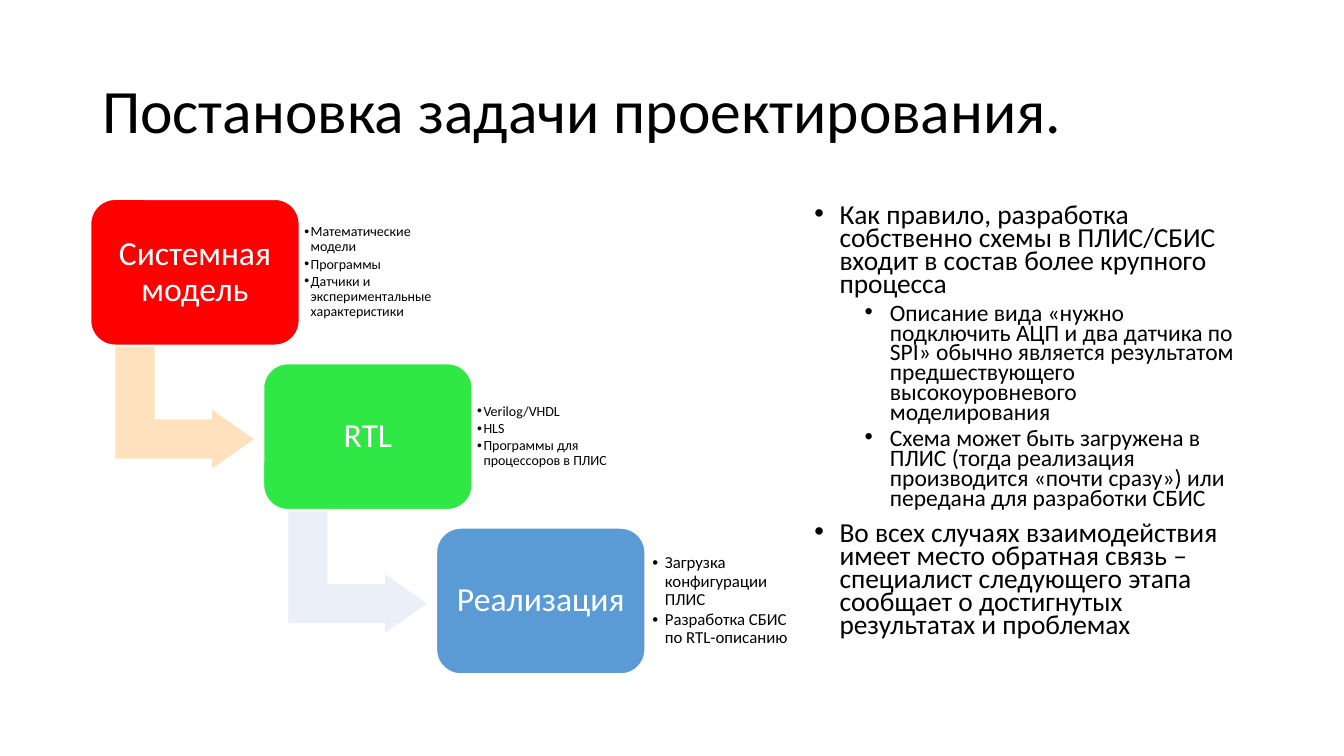
from dataclasses import dataclass

from lxml.etree import SubElement
from pptx import Presentation
from pptx.dml.color import RGBColor
from pptx.enum.shapes import MSO_SHAPE as Shape
from pptx.enum.text import MSO_ANCHOR as Anchor, PP_ALIGN as Align
from pptx.oxml.ns import qn
from pptx.util import Pt


@dataclass(frozen=True)
class Theme:
    font: str = "Calibri"
    black: str = "000000"
    white: str = "FFFFFF"
    red: str = "FF0000"
    green: str = "30E845"
    blue: str = "5B9BD5"
    peach: str = "FFE2BD"
    pale_blue: str = "EBF0F8"
    title_size: float = 44
    stage_size: float = 24
    point_size: float = 19.6
    subpoint_size: float = 16.8
    note_size: float = 10
    large_note_size: float = 12


THEME = Theme()

# Staircase geometry, in points
STAGE_LEFT, STAGE_TOP = 64.8, 142.4
STAGE_WIDTH, STAGE_HEIGHT = 149, 104.2
STEP_X, STEP_Y = 123.5, 117.4
ARROW_WIDTH, ARROW_HEIGHT = 88.4, 100.7
ARROW_DX, ARROW_DY = 23.2, 98.8
NOTE_WIDTH, NOTE_HEIGHT, NOTE_DY = 108.6, 84.2, 10

# Stage name, fill, following arrow's fill, note size, note indent, note inset, notes
STAGES = [
    ("Системная модель", THEME.red, THEME.peach, THEME.note_size, 4.5, 3.6,
     ["Математические модели", "Программы",
      "Датчики и экспериментальные характеристики"]),
    ("RTL", THEME.green, THEME.pale_blue, THEME.note_size, 4.5, 3.6,
     ["Verilog/VHDL", "HLS", "Программы для процессоров в ПЛИС"]),
    ("Реализация", THEME.blue, None, THEME.large_note_size, 9, 5.1,
     ["Загрузка конфигурации ПЛИС", "Разработка СБИС по RTL-описанию"]),
]

# Level and wording of each discussion point
POINTS = [
    (0, "Как правило, разработка собственно схемы в ПЛИС/СБИС входит в состав "
        "более крупного процесса"),
    (1, "Описание вида «нужно подключить АЦП и два датчика по SPI» обычно является "
        "результатом предшествующего высокоуровневого моделирования"),
    (1, "Схема может быть загружена в ПЛИС (тогда реализация производится "
        "«почти сразу») или передана для разработки СБИС"),
    (0, "Во всех случаях взаимодействия имеет место обратная связь – специалист "
        "следующего этапа сообщает о достигнутых результатах и проблемах"),
]


def set_bullet(paragraph, margin, hanging):
    properties = paragraph._p.get_or_add_pPr()
    properties.set("marL", str(Pt(margin)))
    properties.set("indent", str(-Pt(hanging)))
    SubElement(properties, qn("a:buFont")).set("typeface", "Arial")
    SubElement(properties, qn("a:buChar")).set("char", "•")


def add_text(frame, text, *, size, color=THEME.black, align=Align.LEFT,
             line_spacing=0.9, before=0, after=0, level=0, margin=0, hanging=0):
    """Add one formatted paragraph, filling the frame's empty first one."""
    paragraph = frame.add_paragraph() if frame.text else frame.paragraphs[0]
    paragraph.level = level
    paragraph.alignment = align
    paragraph.line_spacing = line_spacing
    paragraph.space_before, paragraph.space_after = Pt(before), Pt(after)
    if hanging:
        set_bullet(paragraph, margin, hanging)
    run = paragraph.add_run()
    run.text = text
    run.font.name = THEME.font
    run.font.size = Pt(size)
    run.font.color.rgb = RGBColor.from_string(color)


def set_frame(shape, anchor, inset_x, inset_y):
    frame = shape.text_frame
    frame.word_wrap = True
    frame.vertical_anchor = anchor
    frame.margin_left = frame.margin_right = Pt(inset_x)
    frame.margin_top = frame.margin_bottom = Pt(inset_y)
    return frame


def add_text_box(slide, box, *, anchor=Anchor.MIDDLE, inset_x=7.2, inset_y=3.6):
    shape = slide.shapes.add_textbox(*map(Pt, box))
    return set_frame(shape, anchor, inset_x, inset_y)


def add_block(slide, kind, box, fill, adjustments):
    shape = slide.shapes.add_shape(kind, *map(Pt, box))
    shape.shadow.inherit = False
    shape.fill.solid()
    shape.fill.fore_color.rgb = RGBColor.from_string(fill)
    shape.line.color.rgb = RGBColor.from_string(THEME.white)
    shape.line.width = Pt(1)
    for index, value in enumerate(adjustments):
        shape.adjustments[index] = value
    return shape


def add_stage(slide, index, name, fill, arrow_fill, note_size, indent, inset, notes):
    left, top = STAGE_LEFT + index * STEP_X, STAGE_TOP + index * STEP_Y

    # Arrow to the next stage
    if arrow_fill:
        box = (left + ARROW_DX, top + ARROW_DY, ARROW_WIDTH, ARROW_HEIGHT)
        arrow = add_block(slide, Shape.BENT_UP_ARROW, box, arrow_fill,
                          [0.328, 0.25, 0.358])
        arrow.rotation = 90

    # Stage block
    block = add_block(slide, Shape.ROUNDED_RECTANGLE,
                      (left, top, STAGE_WIDTH, STAGE_HEIGHT), fill, [0.167])
    add_text(set_frame(block, Anchor.MIDDLE, 7.2, 7.2), name,
             size=THEME.stage_size, color=THEME.white, align=Align.CENTER)

    # Notes beside the block
    box = (left + STAGE_WIDTH, top + NOTE_DY, NOTE_WIDTH, NOTE_HEIGHT)
    frame = add_text_box(slide, box, inset_x=inset, inset_y=inset)
    for note in notes:
        add_text(frame, note, size=note_size, after=0.15 * note_size, level=1,
                 margin=indent, hanging=indent)


def add_points(slide):
    frame = add_text_box(slide, (574.6, 144, 319.7, 342.7), anchor=Anchor.TOP)
    for level, text in POINTS:
        add_text(frame, text, level=level, line_spacing=0.7,
                 size=THEME.subpoint_size if level else THEME.point_size,
                 before=5 if level else 10,
                 margin=18 + 36 * level, hanging=18)


def main():
    presentation = Presentation()
    presentation.slide_width, presentation.slide_height = Pt(960), Pt(540)
    slide = presentation.slides.add_slide(presentation.slide_layouts[6])

    # Title
    title = add_text_box(slide, (66, 28.75, 828, 104.4))
    add_text(title, "Постановка задачи проектирования.", size=THEME.title_size)

    # Design stages and discussion
    for index, stage in enumerate(STAGES):
        add_stage(slide, index, *stage)
    add_points(slide)

    presentation.save("out.pptx")


if __name__ == "__main__":
    main()
